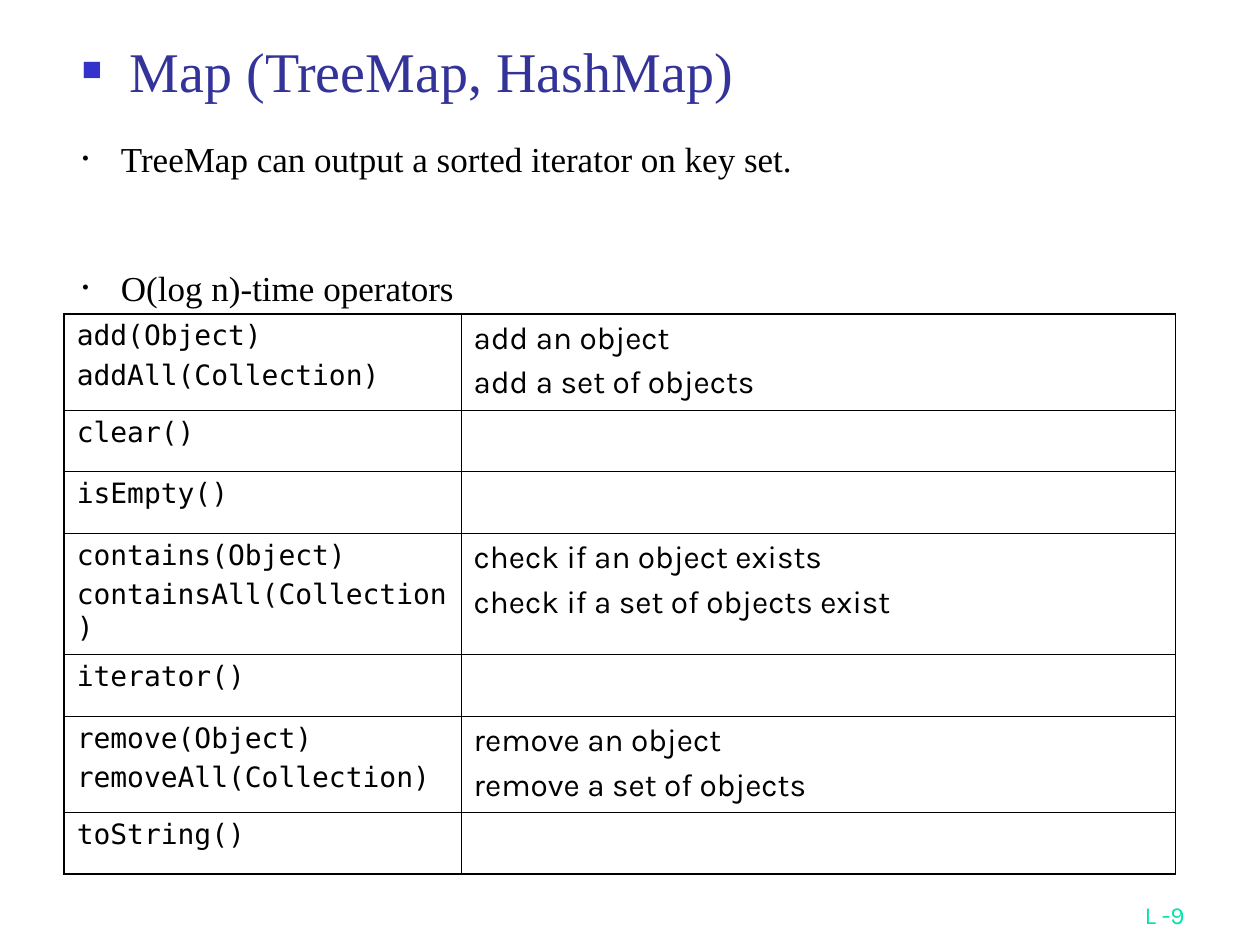
import dataclasses

import lxml.etree
import pptx
import pptx.dml.color
import pptx.enum.text
import pptx.oxml.ns
import pptx.util

ANCHOR = pptx.enum.text.MSO_ANCHOR
ALIGN = pptx.enum.text.PP_ALIGN

WIDTH, HEIGHT = 10, 7.5
COLUMNS = (3.15, 5.67)
LINE_ROWS = {"single": 0.49, "double": 0.76, "wrapped": 0.96}

OPERATIONS = [
    ("double", ["add(Object)", "addAll(Collection)"],
     ["add an object", "add a set of objects"]),
    ("single", ["clear()"], []),
    ("single", ["isEmpty()"], []),
    ("wrapped", ["contains(Object)", "containsAll(Collection)"],
     ["check if an object exists", "check if a set of objects exist"]),
    ("single", ["iterator()"], []),
    ("double", ["remove(Object)", "removeAll(Collection)"],
     ["remove an object", "remove a set of objects"]),
    ("single", ["toString()"], []),
]


@dataclasses.dataclass(frozen=True)
class Style:
    """Typeface, size and colour of a piece of text."""
    font: str
    size: float
    color: str


@dataclasses.dataclass(frozen=True)
class Theme:
    """All colours, type styles and line widths of the slide."""
    ink: str = "000000"
    marker: str = "3333CC"
    title: Style = Style("Times New Roman", 32, "333399")
    body: Style = Style("Times New Roman", 20, "000000")
    code: Style = Style("DejaVu Sans Mono", 16, "000000")
    note: Style = Style("Karla", 18, "000000")
    footer: Style = Style("Karla", 14, "00E4A8")
    outer: float = 1.08
    inner: float = 0.45


THEME = Theme()


def place(box, left, top, width, height):
    """Position a box by shares of the slide's size."""
    box.left, box.width = (pptx.util.Inches(WIDTH * share) for share in (left, width))
    box.top, box.height = (pptx.util.Inches(HEIGHT * share) for share in (top, height))


def write(frame, lines, style, before=0, spacing=1.0, align=ALIGN.LEFT):
    """Fill a text frame with evenly formatted paragraphs."""
    frame.text = "\n".join(lines)
    frame.word_wrap = True
    for para in frame.paragraphs:
        para.alignment = align
        para.line_spacing = spacing
        para.space_before = pptx.util.Pt(before)
        para.font.size = pptx.util.Pt(style.size)
        for span in para.runs:
            span.font.name = style.font
            span.font.size = pptx.util.Pt(style.size)
            span.font.color.rgb = pptx.dml.color.RGBColor.from_string(style.color)


def add_child(parent, tag, **attributes):
    """Append a DrawingML element to a parent element."""
    child = lxml.etree.SubElement(parent, pptx.oxml.ns.qn(tag))
    for name, value in attributes.items():
        child.set(name, str(value))
    return child


def add_bullets(frame, character, color, indent):
    """Give every paragraph a coloured hanging bullet."""
    for para in frame.paragraphs:
        properties = para._p.get_or_add_pPr()
        properties.set("marL", str(pptx.util.Inches(indent)))
        properties.set("indent", str(-pptx.util.Inches(indent)))
        add_child(add_child(properties, "a:buClr"), "a:srgbClr", val=color)
        add_child(properties, "a:buSzPct", val=60000)
        add_child(properties, "a:buFont", typeface=THEME.body.font)
        add_child(properties, "a:buChar", char=character)


def add_title(page):
    """Write the bulleted heading into the title placeholder."""
    box = page.shapes.title
    place(box, 0.055, 0.044, 0.851, 0.073)
    write(box.text_frame, ["Map (TreeMap, HashMap)"], THEME.title, 8, 0.8)
    box.text_frame.vertical_anchor = ANCHOR.MIDDLE
    box.text_frame.auto_size = pptx.enum.text.MSO_AUTO_SIZE.NONE
    add_bullets(box.text_frame, "■", THEME.marker, 0.38)


def add_points(page):
    """Write the two remarks into the body placeholder."""
    box = page.placeholders[1]
    place(box, 0.055, 0.117, 0.59, 0.213)
    frame = box.text_frame
    lines = ["TreeMap can output a sorted iterator on key set.", "O(log n)-time operators"]
    write(frame, lines, THEME.body, spacing=1.5)
    frame.vertical_anchor = ANCHOR.TOP
    frame.auto_size = pptx.enum.text.MSO_AUTO_SIZE.NONE
    frame.paragraphs[1].space_before = pptx.util.Pt(37.5)
    add_bullets(frame, "•", THEME.ink, 0.31)


def add_borders(cell, edges):
    """Draw a cell's four borders, heavier on the table's outer edges."""
    properties = cell._tc.get_or_add_tcPr()
    for side, is_outer in edges.items():
        width = pptx.util.Pt(THEME.outer if is_outer else THEME.inner)
        line = add_child(properties, f"a:ln{side}", w=int(width))
        add_child(add_child(line, "a:solidFill"), "a:srgbClr", val=THEME.ink)


def add_operations(page):
    """Build the table of operations and their meanings."""
    heights = [LINE_ROWS[kind] for kind, _, _ in OPERATIONS]
    lengths = [pptx.util.Inches(n) for n in (0.51, 2.49, sum(COLUMNS), sum(heights))]
    table = page.shapes.add_table(len(heights), len(COLUMNS), *lengths).table
    table.first_row = table.horz_banding = False
    for column, width in zip(table.columns, COLUMNS):
        column.width = pptx.util.Inches(width)
    for row, (_, *texts) in enumerate(OPERATIONS):
        table.rows[row].height = pptx.util.Inches(heights[row])
        for column, (lines, style) in enumerate(zip(texts, (THEME.code, THEME.note))):
            cell = table.cell(row, column)
            write(cell.text_frame, lines, style, style.size / 4)
            add_borders(cell, {
                "L": column == 0, "R": column == len(COLUMNS) - 1,
                "T": row == 0, "B": row == len(heights) - 1,
            })
            cell.fill.background()


def add_footer(page):
    """Put the page label in the bottom right corner."""
    box = page.shapes.add_textbox(0, 0, 0, 0)
    place(box, 0.742, 0.923, 0.208, 0.067)
    write(box.text_frame, ["L -9"], THEME.footer, align=ALIGN.RIGHT)
    box.text_frame.vertical_anchor = ANCHOR.BOTTOM


def main():
    """Assemble and save the slide."""
    deck = pptx.Presentation()
    deck.slide_width = pptx.util.Inches(WIDTH)
    deck.slide_height = pptx.util.Inches(HEIGHT)
    page = deck.slides.add_slide(deck.slide_layouts[1])
    add_title(page)
    add_footer(page)
    add_operations(page)
    add_points(page)
    deck.save("out.pptx")


if __name__ == "__main__":
    main()
